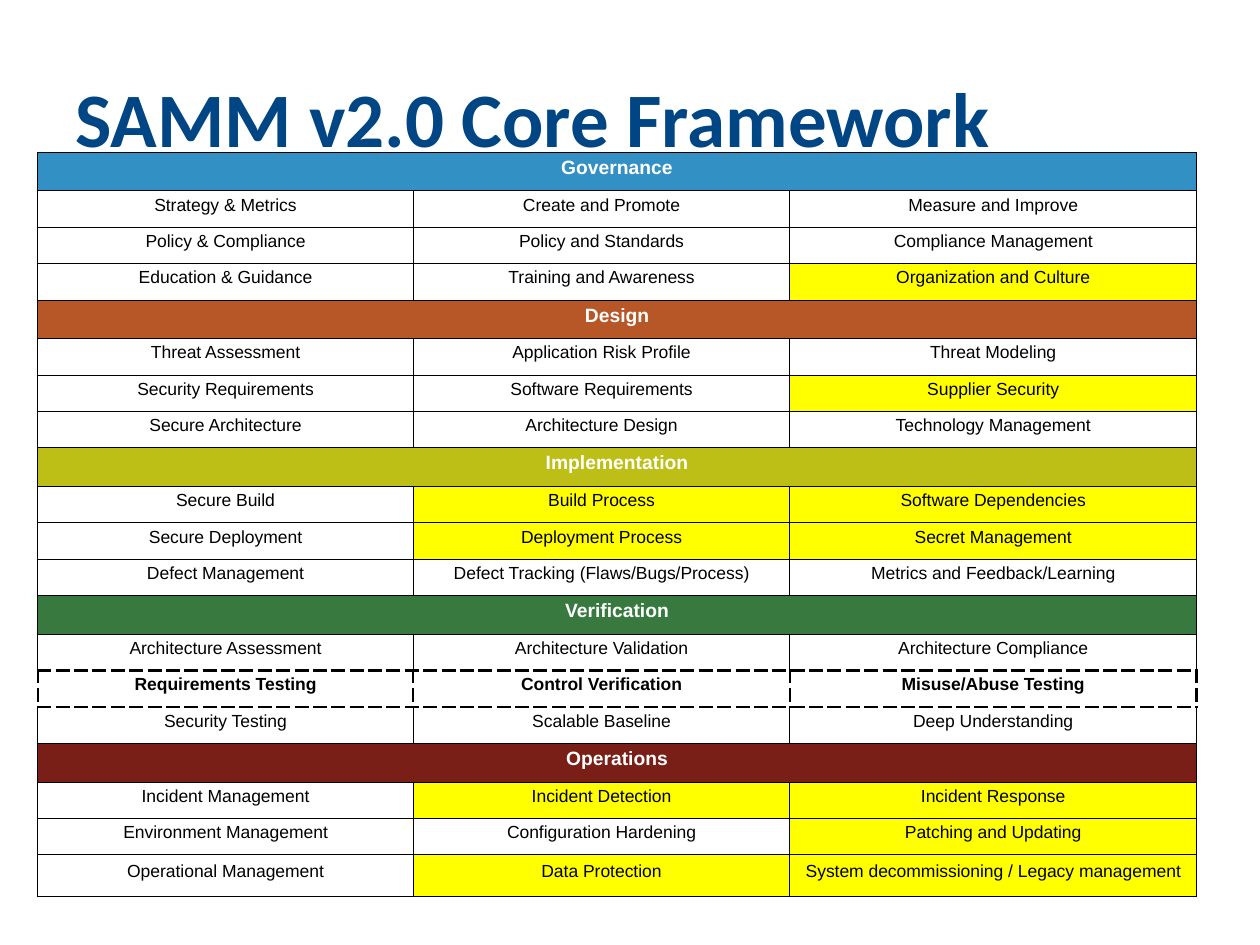
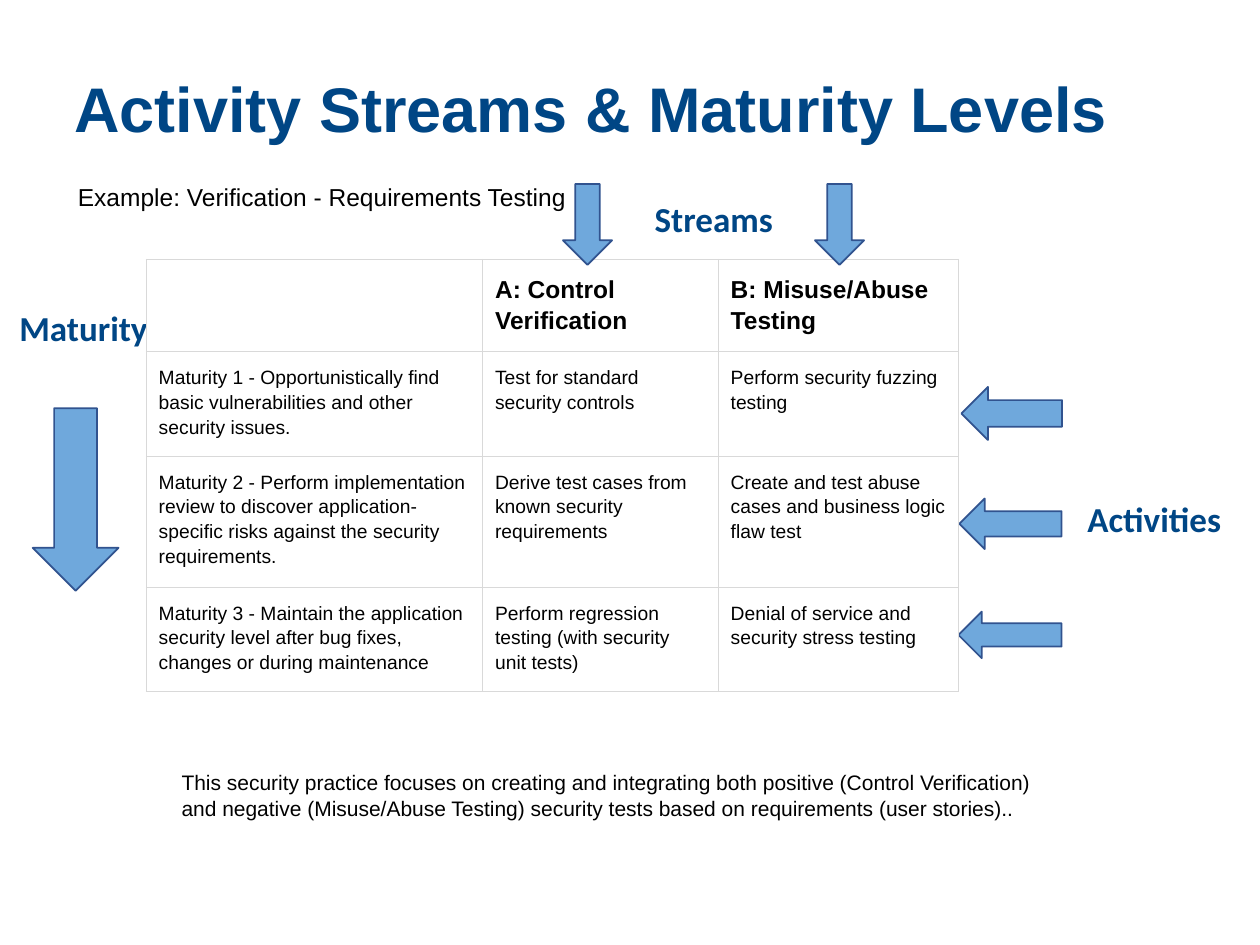
from lxml.etree import SubElement
from pptx import Presentation
from pptx.dml.color import RGBColor
from pptx.enum.shapes import MSO_SHAPE as Shape
from pptx.enum.text import MSO_ANCHOR as Anchor, MSO_AUTO_SIZE as AutoSize, PP_ALIGN as Align
from pptx.oxml.ns import qn
from pptx.util import Cm, Pt

# Shared look
COLORS = {
    "navy": "004685", "black": "000000", "white": "FFFFFF", "yellow": "FFFF00",
    "grid": "D9D9D9", "arrow": "6FA8DC", "arrow edge": "31538F",
    "Governance": "3290C4", "Design": "B75727", "Implementation": "BDBF17",
    "Verification": "37793E", "Operations": "791F17",
}
TITLE_ONLY = 5

# Slide 1 content: practice, stream A, stream B for each business function
FRAMEWORK = {
    "Governance": [
        ("Strategy & Metrics", "Create and Promote", "Measure and Improve"),
        ("Policy & Compliance", "Policy and Standards", "Compliance Management"),
        ("Education & Guidance", "Training and Awareness", "Organization and Culture"),
    ],
    "Design": [
        ("Threat Assessment", "Application Risk Profile", "Threat Modeling"),
        ("Security Requirements", "Software Requirements", "Supplier Security"),
        ("Secure Architecture", "Architecture Design", "Technology Management"),
    ],
    "Implementation": [
        ("Secure Build", "Build Process", "Software Dependencies"),
        ("Secure Deployment", "Deployment Process", "Secret Management"),
        ("Defect Management", "Defect Tracking (Flaws/Bugs/Process)",
         "Metrics and Feedback/Learning"),
    ],
    "Verification": [
        ("Architecture Assessment", "Architecture Validation", "Architecture Compliance"),
        ("Requirements Testing", "Control Verification", "Misuse/Abuse Testing"),
        ("Security Testing", "Scalable Baseline", "Deep Understanding"),
    ],
    "Operations": [
        ("Incident Management", "Incident Detection", "Incident Response"),
        ("Environment Management", "Configuration Hardening", "Patching and Updating"),
        ("Operational Management", "Data Protection",
         "System decommissioning / Legacy management"),
    ],
}
HIGHLIGHTED = {
    "Organization and Culture", "Supplier Security", "Build Process",
    "Software Dependencies", "Deployment Process", "Secret Management",
    "Incident Detection", "Incident Response", "Patching and Updating",
    "Data Protection", "System decommissioning / Legacy management",
}
FRAMED_PRACTICE = "Requirements Testing"

# Slide 2 content
MATURITY_GRID = [
    ("", "A: Control Verification", "B: Misuse/Abuse Testing"),
    ("Maturity 1 - Opportunistically find basic vulnerabilities and other security issues.",
     "Test for standard security controls", "Perform security fuzzing testing"),
    ("Maturity 2 - Perform implementation review to discover application-specific risks "
     "against the security requirements.",
     "Derive test cases from known security requirements",
     "Create and test abuse cases and business logic flaw test"),
    ("Maturity 3 - Maintain the application security level after bug fixes, changes or "
     "during maintenance",
     "Perform regression testing (with security unit tests)",
     "Denial of service and security stress testing"),
]
EXAMPLE = "Example: Verification - Requirements Testing"
PRACTICE_NOTE = (
    "This security practice focuses on creating and integrating both positive (Control "
    "Verification) and negative (Misuse/Abuse Testing) security tests based on "
    "requirements (user stories).."
)
# Text, box in cm, alignment
AXIS_LABELS = [
    ("Maturity", (0.15, 6.07, 3.07, 1.22), Align.CENTER),
    ("Streams", (12.75, 3.89, 3.28, 1.22), Align.CENTER),
    ("Activities", (21.74, 9.93, 3.66, 1.22), Align.LEFT),
]
# Box in cm, rotation
MATURITY_ARROW = [((0.66, 8.23, 1.73, 3.68), 0)]
STREAM_ARROWS = [((left, 3.71, 0.99, 1.63), 0) for left in (11.35, 16.43)]
ACTIVITY_ARROWS = [
    ((19.86, 7.32, 1.07, 2.03), 90),
    ((19.86, 9.53, 1.02, 2.06), 90),
    ((19.89, 11.76, 0.94, 2.08), 90),
]


def rgb(color):
    return RGBColor.from_string(COLORS[color])


def cm_box(box):
    return [Cm(length) for length in box]


def style_paragraph(paragraph, font, size, color="black", bold=False,
                    align=Align.LEFT, spacing=None):
    paragraph.alignment = align
    paragraph.line_spacing = spacing
    paragraph.font.name, paragraph.font.size = font, Pt(size)
    paragraph.font.bold = bold
    paragraph.font.color.rgb = rgb(color)


def set_margins(target, left, top, right, bottom):
    target.margin_left, target.margin_top = Cm(left), Cm(top)
    target.margin_right, target.margin_bottom = Cm(right), Cm(bottom)


def add_titled_slide(deck, text, box, margins, font, size, spacing=None):
    slide = deck.slides.add_slide(deck.slide_layouts[TITLE_ONLY])
    title = slide.shapes.title
    title.left, title.top, title.width, title.height = cm_box(box)
    frame = title.text_frame
    frame.text = text
    frame.auto_size, frame.word_wrap = AutoSize.NONE, True
    frame.vertical_anchor = Anchor.MIDDLE
    set_margins(frame, *margins)
    style_paragraph(frame.paragraphs[0], font, size, "navy", True, spacing=spacing)
    return slide


def add_text(slide, text, box, margins, font, size, wrap=True, **style):
    frame = slide.shapes.add_textbox(*cm_box(box)).text_frame
    frame.text, frame.word_wrap = text, wrap
    set_margins(frame, *margins)
    style_paragraph(frame.paragraphs[0], font, size, **style)
    return frame


def add_plain_table(slide, left, top, widths, heights):
    table = slide.shapes.add_table(
        len(heights), len(widths), Cm(left), Cm(top),
        Cm(sum(widths)), Cm(sum(heights))).table
    table.first_row = table.horz_banding = False
    for column, width in zip(table.columns, widths):
        column.width = Cm(width)
    for row, height in zip(table.rows, heights):
        row.height = Cm(height)
    return table


def set_borders(cell, color, width, dashed_sides="", dashed_width=1.5):
    properties = cell._tc.get_or_add_tcPr()
    for place, side in enumerate("LRTB"):
        dashed = side in dashed_sides
        line = SubElement(properties, qn(f"a:ln{side}"),
                          w=str(Pt(dashed_width if dashed else width)))
        fill = SubElement(line, qn("a:solidFill"))
        SubElement(fill, qn("a:srgbClr"), val=COLORS[color])
        SubElement(line, qn("a:prstDash"), val="lgDash" if dashed else "solid")
        properties.insert(place, line)


def fill_cell(cell, text, size, fill=None, margins=(0.25,) * 4, **style):
    cell.text = text
    set_margins(cell, *margins)
    style_paragraph(cell.text_frame.paragraphs[0], "Arial", size, spacing=1.15, **style)
    if fill:
        cell.fill.solid()
        cell.fill.fore_color.rgb = rgb(fill)
    else:
        cell.fill.background()


def add_arrow(slide, box, rotation):
    arrow = slide.shapes.add_shape(Shape.DOWN_ARROW, *cm_box(box))
    arrow.rotation = rotation
    arrow.shadow.inherit = False
    arrow.fill.solid()
    arrow.fill.fore_color.rgb = rgb("arrow")
    arrow.line.color.rgb = rgb("arrow edge")
    arrow.line.width = Pt(1)


def build_framework(deck):
    slide = add_titled_slide(deck, "SAMM v2.0 Core Framework", (1.27, 0.76, 22.86, 3.18),
                             (0.25,) * 4, "Calibri", 44)
    rows = []
    for function, practices in FRAMEWORK.items():
        rows += [(function, "", ""), *practices]
    heights = [0.77 if row[0] in FRAMEWORK else 0.73 for row in rows]
    heights[-1] = 0.84
    framed = [row[0] for row in rows].index(FRAMED_PRACTICE)
    dashed_sides = {framed - 1: "B", framed: "LRTB", framed + 1: "T"}

    table = add_plain_table(slide, 0.76, 3.07, (7.57, 7.59, 8.2), heights)
    for r, row in enumerate(rows):
        is_function = row[0] in FRAMEWORK
        for c, text in enumerate(row):
            cell = table.cell(r, c)
            if is_function:
                look = dict(size=11, fill=row[0], color="white", bold=True)
            else:
                look = dict(size=10, fill="yellow" if text in HIGHLIGHTED else None,
                            bold=r == framed)
            fill_cell(cell, text, margins=(0.03, 0.03, 0.03, 0.25),
                      align=Align.CENTER, **look)
            cell.vertical_anchor = Anchor.MIDDLE
            set_borders(cell, "black", 0.5, dashed_sides.get(r, ""))
        if is_function:
            table.cell(r, 0).merge(table.cell(r, 2))


def build_maturity(deck):
    narrow = (0.18, 0.1, 0.18, 0.1)
    slide = add_titled_slide(deck, "Activity Streams & Maturity Levels",
                             (1.32, 1.65, 22.86, 1.24), narrow, "Arial", 36, 0.9)

    # Axis labels and the arrows beside the table
    for text, box, align in AXIS_LABELS:
        add_text(slide, text, box, narrow, "Calibri", 20,
                 color="navy", bold=True, align=align)
    for box, rotation in MATURITY_ARROW + ACTIVITY_ARROWS:
        add_arrow(slide, box, rotation)

    # Maturity levels by stream
    table = add_plain_table(slide, 2.95, 5.23, (6.78, 4.75, 4.85), (1.78, 2, 2.49, 2))
    for r, row in enumerate(MATURITY_GRID):
        for c, text in enumerate(row):
            cell = table.cell(r, c)
            fill_cell(cell, text, 11 if r else 14, "white", bold=r == 0)
            set_borders(cell, "grid", 0.75)

    # Stream arrows overlap the table's top edge
    for box, rotation in STREAM_ARROWS:
        add_arrow(slide, box, rotation)

    # Example line and closing note
    note = add_text(slide, PRACTICE_NOTE, (2.95, 15.27, 18.77, 1.22), (0.25,) * 4,
                    "Arial", 12)
    indent = note.paragraphs[0]._p.get_or_add_pPr()
    indent.set("marL", str(Cm(0.46)))
    indent.set("indent", "0")
    example = add_text(slide, EXAMPLE, (1.32, 3.53, 10.49, 0.86),
                       (0.25, 0.13, 0.25, 0.13), "Arial", 14, wrap=False)
    example.auto_size = AutoSize.SHAPE_TO_FIT_TEXT


def main():
    deck = Presentation()
    deck.slide_width, deck.slide_height = Cm(25.4), Cm(19.05)
    build_framework(deck)
    build_maturity(deck)
    deck.save("out.pptx")


if __name__ == "__main__":
    main()
